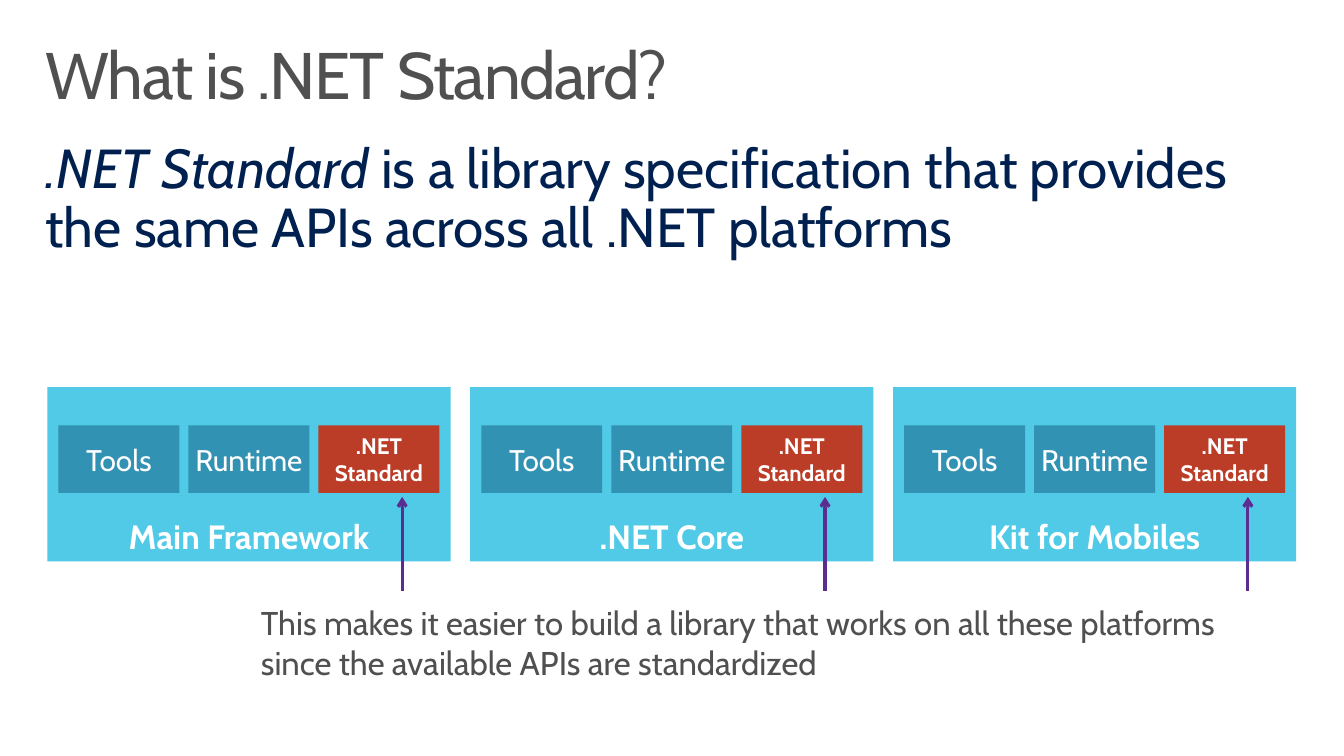
from pptx import Presentation
from pptx.dml.color import RGBColor
from pptx.enum.shapes import MSO_CONNECTOR as Connector, MSO_SHAPE as Shape
from pptx.enum.text import MSO_ANCHOR as Anchor, PP_ALIGN as Align
from pptx.oxml.ns import qn
from pptx.util import Inches, Pt
from lxml.etree import SubElement

FONT = "Cabin"
WHITE, GRAY, NAVY, PURPLE = "FFFFFF", "505050", "002050", "5C2D91"
SKY, TEAL, RED = "50CAE6", "3292B3", "BC3D27"

# Platform row: three panels, each holding three tiles
PANEL_LEFT, PANEL_TOP, PANEL_W, PANEL_H, PANEL_PITCH = 0.47, 3.84, 4, 1.73, 4.195
TILE_X, TILE_Y, TILE_W, TILE_H, TILE_PITCH = 0.11, 0.38, 1.2, 0.67, 1.29
PLATFORMS = ["Main Framework", ".NET Core", "Kit for Mobiles"]
TILES = [("Tools", TEAL, 21.3, False), ("Runtime", TEAL, 21.3, False),
         (".NET\nStandard", RED, 16, True)]


def color(value):
    return RGBColor.from_string(value)


def set_all(target, values):
    for name, value in values.items():
        setattr(target, name, value)


def write(box, paras, size, ink, frame, bold=False, **layout):
    """Fill a box; each paragraph is a list of (text, italic) spans."""
    text = box.text_frame
    set_all(text, frame)
    for index, spans in enumerate(paras):
        para = text.paragraphs[0] if index == 0 else text.add_paragraph()
        set_all(para, layout)
        for words, italic in spans:
            span = para.add_run()
            span.text = words
            set_all(span.font, dict(name=FONT, size=Pt(size), bold=bold, italic=italic))
            span.font.color.rgb = color(ink)
    return text


def add_text(page, box, paras, size, ink, margin=0.1, **layout):
    frame = dict(word_wrap=True, margin_left=Inches(margin), margin_right=Inches(margin),
                 margin_top=Inches(0.1 if margin > 0.1 else 0.05), margin_bottom=Inches(0.05),
                 vertical_anchor=Anchor.TOP)
    area = page.shapes.add_textbox(*map(Inches, box))
    return write(area, paras, size, ink, frame, **layout)


def add_block(page, box, label, fill, size, bold, anchor):
    block = page.shapes.add_shape(Shape.RECTANGLE, *map(Inches, box))
    block.shadow.inherit = False
    block.fill.solid()
    block.fill.fore_color.rgb = color(fill)
    block.line.fill.background()
    frame = dict(word_wrap=False, margin_left=0, margin_right=0, vertical_anchor=anchor)
    paras = [[(line, False)] for line in label.split("\n")]
    write(block, paras, size, WHITE, frame, bold, alignment=Align.CENTER)


def add_arrow(page, x, start, end):
    arrow = page.shapes.add_connector(
        Connector.STRAIGHT, *map(Inches, (x, start, x, end)))
    arrow.line.color.rgb = color(PURPLE)
    arrow.line.width = Pt(2.25)
    SubElement(arrow.line._get_or_add_ln(), qn("a:tailEnd"), type="arrow")
    SubElement(arrow._element.spPr, qn("a:effectLst"))


def add_platform(page, left, top, name):
    add_block(page, (left, top, PANEL_W, PANEL_H), name, SKY, 24, True, Anchor.BOTTOM)
    for column, (label, fill, size, bold) in enumerate(TILES):
        tile = (left + TILE_X + column * TILE_PITCH, top + TILE_Y, TILE_W, TILE_H)
        add_block(page, tile, label, fill, size, bold, Anchor.MIDDLE)
    # Arrow from the note up to the standard tile
    add_arrow(page, left + 3.52, top + 2.02, top + 1.09)


def add_heading(page, left, top, width):
    title = add_text(page, (left, top, width, 0.98), [[("What is .NET Standard?", False)]],
                     47, GRAY, 0.16, line_spacing=0.9)
    title.paragraphs[0].runs[0].font._element.set("spc", "-100")
    body = [(".NET Standard", True),
            (" is a library specification that provides the same APIs"
             " across all .NET platforms", False)]
    add_text(page, (left, top + 0.98, width, 1.39), [body], 39.2, NAVY, 0.16,
             line_spacing=0.9)


def add_note(page, box):
    lines = ["This makes it easier to build a library that works on all these platforms",
             "since the available APIs are standardized"]
    add_text(page, box, [[(line, False)] for line in lines], 23.5, GRAY)


def main():
    deck = Presentation()
    set_all(deck, dict(slide_width=Inches(13.333), slide_height=Inches(7.5)))
    page = deck.slides.add_slide(deck.slide_layouts[6])
    add_heading(page, 0.29, 0.32, 12.75)
    for index, name in enumerate(PLATFORMS):
        add_platform(page, PANEL_LEFT + index * PANEL_PITCH, PANEL_TOP, name)
    add_note(page, (2.49, 5.93, 10.37, 0.89))
    deck.save("out.pptx")


if __name__ == "__main__":
    main()
